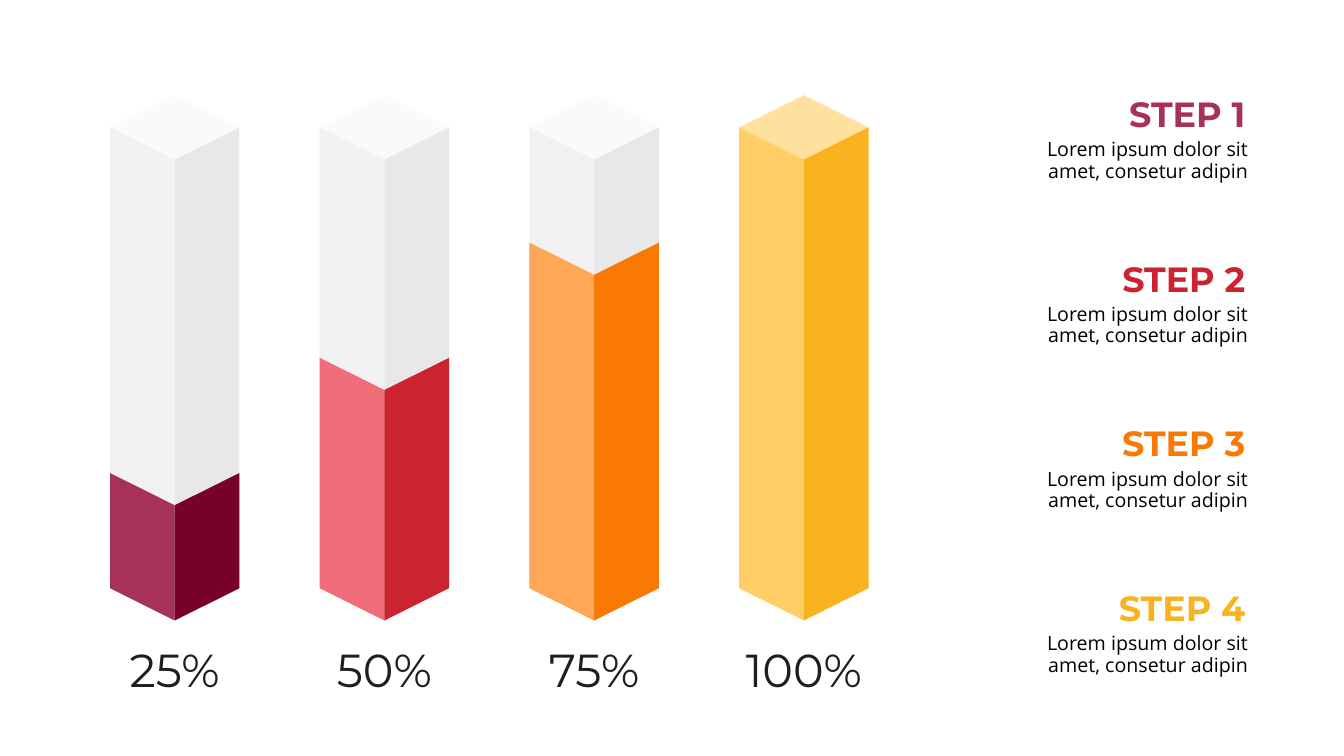
"""Build a slide of four isometric progress columns with step captions."""
from collections import namedtuple

from pptx import Presentation
from pptx.dml.color import RGBColor
from pptx.enum.text import MSO_ANCHOR as Anchor, PP_ALIGN as Align
from pptx.util import Pt

Step = namedtuple("Step", "percent left_color right_color title_color label_width title_width")
STEPS = [
    Step(25, "A6325C", "78012C", "A6325C", 98.6, 104),
    Step(50, "F06E7A", "CC2331", "CC2331", 103, 109.5),
    Step(75, "FFA757", "FA7902", "FA7902", 98, 109.5),
    Step(100, "FFCE66", "FAB320", "FAB320", 121.6, 109.5),
]
BODY = "Lorem ipsum dolor sit amet, consetur adipin"
EMPTY_TOP, EMPTY_LEFT, EMPTY_RIGHT = "FAFAFA", "F2F2F2", "E8E8E8"
FULL_TOP = "FFE09E"

FIRST_CENTER, COLUMN_PITCH = 124.8, 149.8
HALF_WIDTH, RISE = 46.2, 23
COLUMN_TOP, COLUMN_BOTTOM = 91, 420.2
LABEL_TOP, LABEL_HEIGHT = 458, 39
TITLE_TOP, TITLE_RIGHT, TITLE_HEIGHT = 66.2, 889.5, 31.7
BODY_LEFT, BODY_TOP, BODY_WIDTH, BODY_HEIGHT = 722.2, 96.5, 176.4, 41
STEP_PITCH = 117.6


def rgb(color):
    """Turn a hex string into a colour."""
    return RGBColor.from_string(color)


def add_text(slide, text, left, top, width, height, *, size, font, color,
             align, bold=False, inset=(0, 0), spacing=1.0):
    """Add a wrapped text box with one formatted paragraph."""
    frame = slide.shapes.add_textbox(Pt(left), Pt(top), Pt(width), Pt(height)).text_frame
    frame.word_wrap = True
    frame.vertical_anchor = Anchor.TOP
    frame.margin_left = frame.margin_right = Pt(inset[0])
    frame.margin_top = frame.margin_bottom = Pt(inset[1])
    paragraph = frame.paragraphs[0]
    paragraph.alignment = align
    paragraph.line_spacing = spacing
    run = paragraph.add_run()
    run.text = text
    run.font.size = Pt(size)
    run.font.name = font
    run.font.bold = bold
    run.font.color.rgb = rgb(color)


def add_face(shapes, points, color):
    """Add a closed polygon without outline."""
    start, *others = [(Pt(x), Pt(y)) for x, y in points]
    builder = shapes.build_freeform(*start, scale=1.0)
    builder.add_line_segments(others, close=True)
    shape = builder.convert_to_shape()
    shape.shadow.inherit = False
    shape.fill.solid()
    shape.fill.fore_color.rgb = rgb(color)
    shape.line.fill.background()


def add_sides(shapes, center, top, left_color, right_color):
    """Add the two front faces from a given height down to the base."""
    for offset, color in ((-HALF_WIDTH, left_color), (HALF_WIDTH, right_color)):
        outer = center + offset
        add_face(shapes, [(outer, top), (outer, COLUMN_BOTTOM),
                          (center, COLUMN_BOTTOM + RISE), (center, top + RISE)], color)


def add_column(slide, center, step):
    """Add a grouped column filled up to the percentage of its step."""
    shapes = slide.shapes.add_group_shape().shapes
    full = step.percent == 100
    add_face(shapes, [(center, COLUMN_TOP - RISE), (center - HALF_WIDTH, COLUMN_TOP),
                      (center, COLUMN_TOP + RISE), (center + HALF_WIDTH, COLUMN_TOP)],
             FULL_TOP if full else EMPTY_TOP)
    if not full:
        add_sides(shapes, center, COLUMN_TOP, EMPTY_LEFT, EMPTY_RIGHT)
    level = COLUMN_BOTTOM - (COLUMN_BOTTOM - COLUMN_TOP) * step.percent / 100
    add_sides(shapes, center, level, step.left_color, step.right_color)


def add_label(slide, center, step):
    """Add the percentage below a column."""
    add_text(slide, f"{step.percent}%", center - step.label_width / 2, LABEL_TOP,
             step.label_width, LABEL_HEIGHT, size=33, font="Montserrat",
             color="1E1E1E", align=Align.CENTER)


def add_caption(slide, index, step):
    """Add the heading and description of a step."""
    shift = index * STEP_PITCH
    add_text(slide, f"STEP {index + 1}", TITLE_RIGHT - step.title_width, TITLE_TOP + shift,
             step.title_width, TITLE_HEIGHT, size=25, font="Montserrat",
             color=step.title_color, align=Align.RIGHT, bold=True)
    add_text(slide, BODY, BODY_LEFT, BODY_TOP + shift, BODY_WIDTH, BODY_HEIGHT,
             size=14, font="Open Sans", color="000000", align=Align.RIGHT,
             inset=(7.2, 3.6), spacing=0.9)


def main():
    """Create the presentation and save it."""
    presentation = Presentation()
    presentation.slide_width, presentation.slide_height = Pt(960), Pt(540)
    slide = presentation.slides.add_slide(presentation.slide_layouts[6])
    for index, step in enumerate(STEPS):
        center = FIRST_CENTER + index * COLUMN_PITCH
        add_column(slide, center, step)
        add_label(slide, center, step)
        add_caption(slide, index, step)
    presentation.save("out.pptx")


main()
